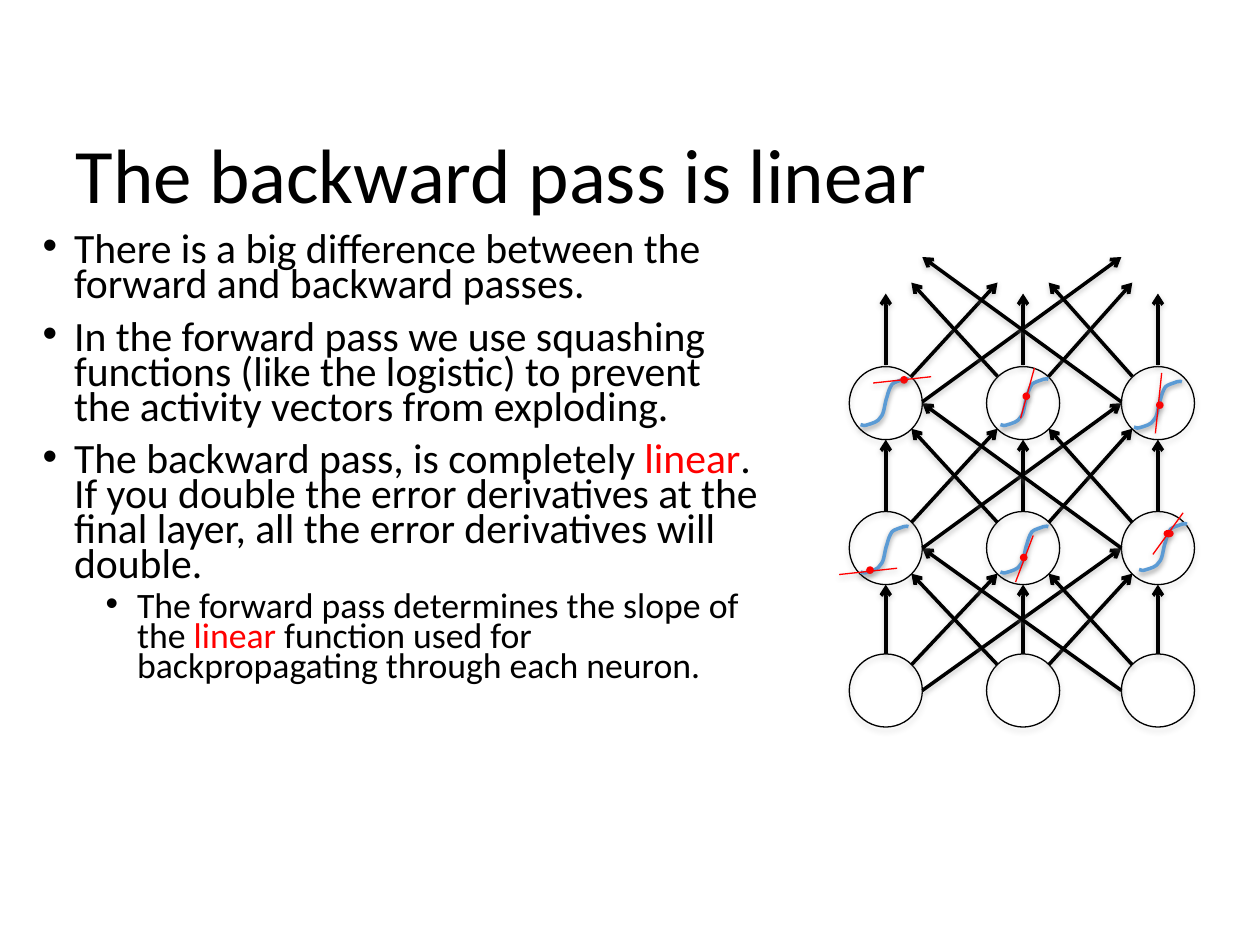
from itertools import product

from lxml.etree import SubElement as Sub
from pptx import Presentation
from pptx.dml.color import RGBColor as RGB
from pptx.enum.shapes import MSO_CONNECTOR as Link, MSO_SHAPE as Kind
from pptx.enum.text import MSO_ANCHOR as Anchor, PP_ALIGN as Align
from pptx.oxml.ns import qn
from pptx.util import Inches, Pt

BLACK = RGB(0x00, 0x00, 0x00)
RED = RGB(0xFF, 0x00, 0x00)
BLUE = RGB(0x5B, 0x9B, 0xD5)
GRAY = RGB(0x80, 0x80, 0x80)

# Network layout: column and row centres, circle radius
RAD = 0.29
COLS = (7.03, 8.12, 9.19)
ROWS = (5.48, 4.35, 3.2)
# Start and end row of each band of arrows; the last one leaves the net
BANDS = ((5.48, 4.35), (4.35, 3.2), (3.19, 2.04))
# Where an arrow meets a circle, by the number of columns it crosses
RIM = ((0, 1), (0.7, 0.7), (1, 0))

# Squashing curve: start point, then three points for each cubic piece
CURVE = (
    (0, 0.36),
    (0.02, 0.37), (0.03, 0.37), (0.06, 0.36),
    (0.09, 0.35), (0.14, 0.34), (0.16, 0.3),
    (0.19, 0.27), (0.19, 0.19), (0.21, 0.14),
    (0.22, 0.1), (0.23, 0.07), (0.25, 0.04),
    (0.27, 0.02), (0.32, 0.01), (0.34, 0),
    (0.36, -0.01), (0.38, 0), (0.38, 0),
)

# Per neuron: curve corner, dot box, tangent ends
MARKS = (
    ((6.83, 3.01), (7.15, 2.99, 0.05, 0.05), (6.93, 3.04, 7.39, 2.99)),
    ((7.94, 3.01), (8.12, 3.12, 0.05, 0.05), (8.1, 3.32, 8.21, 2.92)),
    ((9.0, 3.03), (9.18, 3.19, 0.05, 0.05), (9.17, 3.44, 9.22, 2.96)),
    ((6.83, 4.18), (6.88, 4.5, 0.05, 0.05), (6.66, 4.56, 7.12, 4.51)),
    ((7.94, 4.18), (8.1, 4.4, 0.05, 0.05), (8.06, 4.62, 8.2, 4.25)),
    ((9.04, 4.16), (9.24, 4.21, 0.07, 0.05), (9.15, 4.4, 9.39, 4.07)),
)

# Level and runs of each paragraph; a run marked True is red
TEXT = (
    (0, [("There is a big difference between the forward and backward passes.", False)]),
    (0, [("In the forward pass we use squashing functions (like the logistic) "
          "to prevent the activity vectors from exploding.", False)]),
    (0, [("The backward pass, is completely ", False), ("linear", True),
         (". If you double the error derivatives at the final layer, "
          "all the error derivatives will double.", False)]),
    (1, [("The forward pass determines the slope of the", False), (" linear ", True),
         ("function used for backpropagating through each neuron.", False)]),
)


class Deck:
    """Style and current slide, on a grid of 10 columns by 7.5 rows."""

    font = "Calibri"

    def __init__(self):
        self.prs = Presentation()
        self.prs.slide_width, self.prs.slide_height = Inches(10), Inches(7.5)
        self.cell = self.prs.slide_width // 10
        self.slide = self.prs.slides.add_slide(self.prs.slide_layouts[5])
        self.shapes = self.slide.shapes

    def grid(self, *vals):
        return [round(v * self.cell) for v in vals]

    def style(self, para, size):
        para.font.name, para.font.size = self.font, Pt(size)

    def title(self, text, *box):
        head = self.shapes.title
        head.left, head.top, head.width, head.height = self.grid(*box)
        head.text_frame.vertical_anchor = Anchor.MIDDLE
        head.text = text
        para = head.text_frame.paragraphs[0]
        para.alignment, para.line_spacing = Align.LEFT, 0.9
        self.style(para, 44)
        para.font.color.rgb = BLACK

    def body(self, items, *box):
        frame = self.shapes.add_textbox(*self.grid(*box)).text_frame
        frame.word_wrap = True
        for n, (level, runs) in enumerate(items):
            para = frame.add_paragraph() if n else frame.paragraphs[0]
            para.level, para.line_spacing = level, 0.7
            para.space_before = Pt((5 if level else 10) if n else 0)
            props = para._p.get_or_add_pPr()
            props.set("marL", str(Inches(0.25 + level / 2)))
            props.set("indent", str(-Inches(0.25)))
            Sub(props, qn("a:buFont"), typeface="Arial")
            Sub(props, qn("a:buChar"), char="•")
            self.style(para, 20.4 if level else 23.8)
            for text, hot in runs:
                run = para.add_run()
                run.text = text
                run.font.color.rgb = RED if hot else BLACK

    def shade(self, shape, tint=GRAY, alpha=38, dist=1.6):
        """Soft shadow below a shape."""
        drop = Sub(Sub(shape._element.spPr, qn("a:effectLst")), qn("a:outerShdw"),
                   blurRad=str(Pt(3.1)), dist=str(Pt(dist)),
                   dir="5400000", rotWithShape="0")
        hue = Sub(drop, qn("a:srgbClr"), val=str(tint))
        Sub(hue, qn("a:alpha"), val=str(alpha * 1000))

    def pen(self, shape, color, width):
        shape.line.color.rgb, shape.line.width = color, Pt(width)

    def oval(self, *box, color=BLACK, solid=False):
        oval = self.shapes.add_shape(Kind.OVAL, *self.grid(*box))
        if solid:
            oval.fill.solid()
            oval.fill.fore_color.rgb = color
        else:
            oval.fill.background()
        self.pen(oval, color, 0.75)
        self.shade(oval, alpha=35, dist=1.8)

    def line(self, *ends, color=BLACK, width=2, arrow=False):
        line = self.shapes.add_connector(Link.STRAIGHT, *self.grid(*ends))
        self.pen(line, color, width)
        if arrow:
            Sub(line._element.spPr.find(qn("a:ln")), qn("a:tailEnd"), type="arrow")
        self.shade(line)

    def curve(self, left, top):
        spots = [self.grid(left + x, top + y) for x, y in CURVE]
        form = self.shapes.build_freeform(*spots[0])
        form.add_line_segments(spots[1:], close=False)
        curve = form.convert_to_shape()
        # Join each three straight steps into one cubic piece
        trace = next(curve._element.iter(qn("a:path")))
        steps = trace.findall(qn("a:lnTo"))
        for n in range(0, len(steps), 3):
            cube = Sub(trace, qn("a:cubicBezTo"))
            for step in steps[n:n + 3]:
                cube.append(step[0])
                trace.remove(step)
        curve.fill.background()
        self.pen(curve, BLUE, 2)
        self.shade(curve, tint=BLACK)


def main():
    deck = Deck()

    # Title and bullets
    deck.title("The backward pass is linear", 0.5, 0.95, 9, 0.94)
    deck.body(TEXT, 0.24, 1.82, 5.93, 3.71)

    # Neurons
    for y, x in product(ROWS, COLS):
        deck.oval(x - RAD, y - RAD, 2 * RAD, 2 * RAD)

    # Arrows from every neuron to every neuron above
    for (low, high), a, b in product(BANDS, range(3), range(3)):
        across, up = (RAD * k for k in RIM[abs(a - b)])
        side = across if b > a else -across
        deck.line(COLS[a] + side, low - up, COLS[b] - side, high + up, arrow=True)

    # Squashing curves with their tangents
    for corner, dot, ends in MARKS:
        deck.curve(*corner)
        deck.oval(*dot, color=RED, solid=True)
        deck.line(*ends, color=RED, width=0.75)

    deck.prs.save("out.pptx")


if __name__ == "__main__":
    main()
